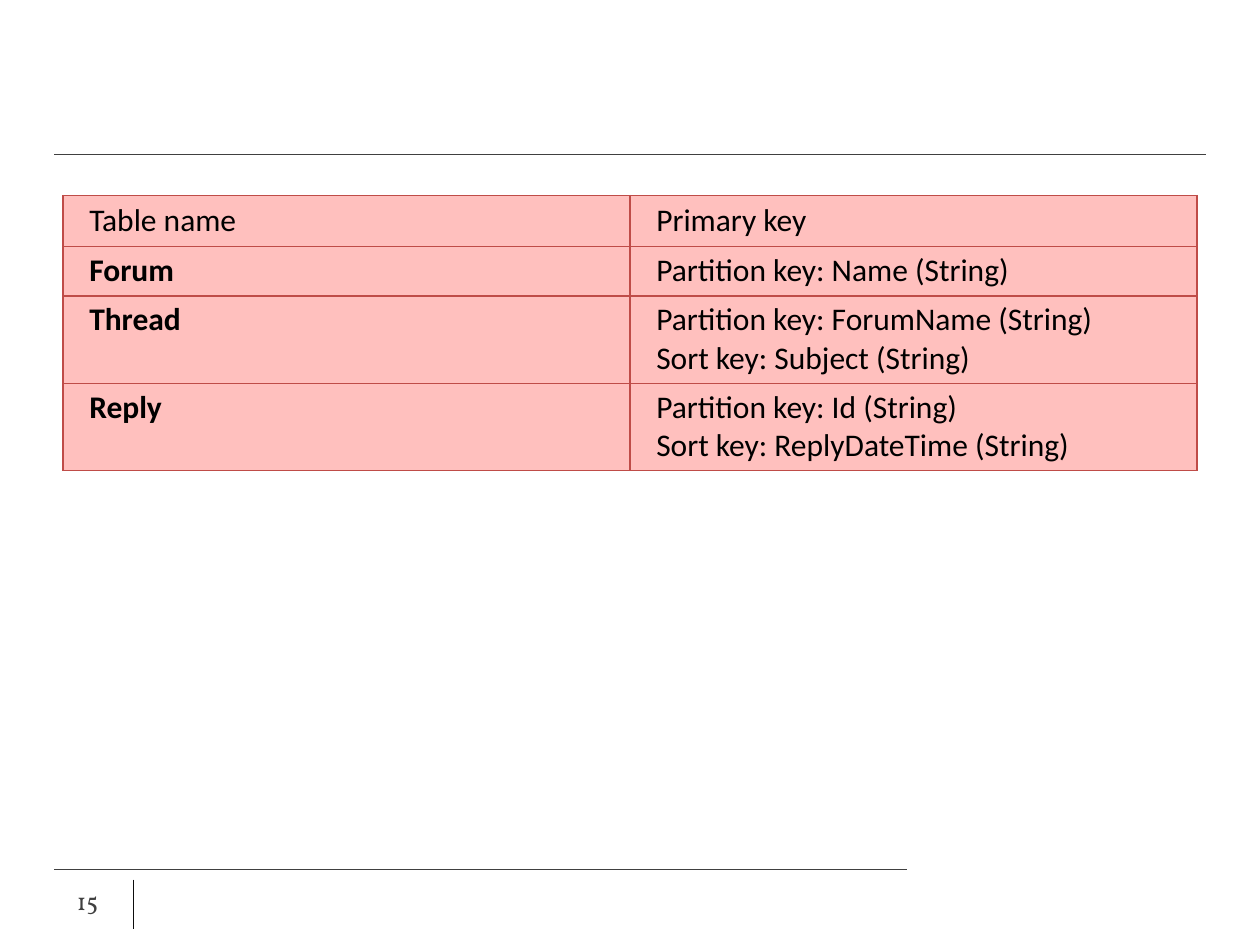
from typing import NamedTuple

from lxml.etree import SubElement
from pptx import Presentation
from pptx.dml.color import RGBColor
from pptx.enum.shapes import MSO_CONNECTOR as Connector
from pptx.enum.text import MSO_ANCHOR as Anchor
from pptx.oxml.ns import qn
from pptx.util import Cm, Pt

BLACK = RGBColor(0x00, 0x00, 0x00)
GREY = RGBColor(0x40, 0x40, 0x40)
NEAR_BLACK = RGBColor(0x0D, 0x0D, 0x0D)
PINK = RGBColor(0xFF, 0xC0, 0xBE)
RED = RGBColor(0xBF, 0x4C, 0x48)
RULE_WIDTH = Pt(0.75)


class Rule(NamedTuple):
    x1: float
    y1: float
    x2: float
    y2: float
    color: RGBColor


class KeyRow(NamedTuple):
    name: str
    keys: str
    height: float
    padding: float
    bold: bool = True


RULES = [
    Rule(1.09, 3.12, 24.31, 3.12, GREY),
    Rule(1.09, 17.53, 18.29, 17.53, GREY),
    Rule(2.69, 17.73, 2.69, 18.72, NEAR_BLACK),
]
KEY_ROWS = [
    KeyRow("Table name", "Primary key", 1.02, 0.13, bold=False),
    KeyRow("Forum", "Partition key:\u00a0Name\u00a0(String)", 0.99, 0.1),
    KeyRow("Thread", "Partition key:\u00a0ForumName\u00a0(String)\n"
           "Sort key:\u00a0Subject\u00a0(String)", 1.76, 0.1),
    KeyRow("Reply", "Partition key:\u00a0Id\u00a0(String)\n"
           "Sort key:\u00a0ReplyDateTime\u00a0(String)", 1.76, 0.1),
]


def format_text(frame, font_name: str, size: int, color: RGBColor, bold: bool = False) -> None:
    for paragraph in frame.paragraphs:
        for run in paragraph.runs:
            run.font.name = font_name
            run.font.size = Pt(size)
            run.font.color.rgb = color
            run.font.bold = bold


def draw_rule(slide, rule: Rule) -> None:
    line = slide.shapes.add_connector(
        Connector.STRAIGHT, Cm(rule.x1), Cm(rule.y1), Cm(rule.x2), Cm(rule.y2))
    line.line.color.rgb = rule.color
    line.line.width = RULE_WIDTH
    SubElement(line._element.spPr, qn("a:effectLst"))


def add_borders(cell) -> None:
    properties = cell._tc.get_or_add_tcPr()
    for index, side in enumerate(("a:lnL", "a:lnR", "a:lnT", "a:lnB")):
        border = properties.makeelement(qn(side), {"w": str(int(RULE_WIDTH))})
        fill = SubElement(border, qn("a:solidFill"))
        SubElement(fill, qn("a:srgbClr"), val=str(RED))
        properties.insert(index, border)


def fill_cell(cell, text: str, padding: float, bold: bool) -> None:
    cell.text_frame.text = text
    format_text(cell.text_frame, "Calibri", 18, BLACK, bold)
    cell.margin_left = cell.margin_right = Cm(0.53)
    cell.margin_top = cell.margin_bottom = Cm(padding)
    cell.fill.solid()
    cell.fill.fore_color.rgb = PINK
    add_borders(cell)


def draw_key_table(slide, rows: list[KeyRow]) -> None:
    height = sum(row.height for row in rows)
    table = slide.shapes.add_table(
        len(rows), 2, Cm(1.27), Cm(3.94), Cm(22.86), Cm(height)).table
    for index, row in enumerate(rows):
        table.rows[index].height = Cm(row.height)
        fill_cell(table.cell(index, 0), row.name, row.padding, row.bold)
        fill_cell(table.cell(index, 1), row.keys, row.padding, False)


def draw_page_number(slide, number: str) -> None:
    frame = slide.shapes.add_textbox(Cm(1.3), Cm(17.65), Cm(1.32), Cm(1.02)).text_frame
    frame.word_wrap = True
    frame.vertical_anchor = Anchor.MIDDLE
    frame.text = number
    format_text(frame, "Vollkorn", 14, GREY)


deck = Presentation()
deck.slide_width, deck.slide_height = Cm(25.4), Cm(19.05)
key_slide = deck.slides.add_slide(deck.slide_layouts[6])
for rule in RULES:
    draw_rule(key_slide, rule)
draw_key_table(key_slide, KEY_ROWS)
draw_page_number(key_slide, "15")
deck.save("out.pptx")
